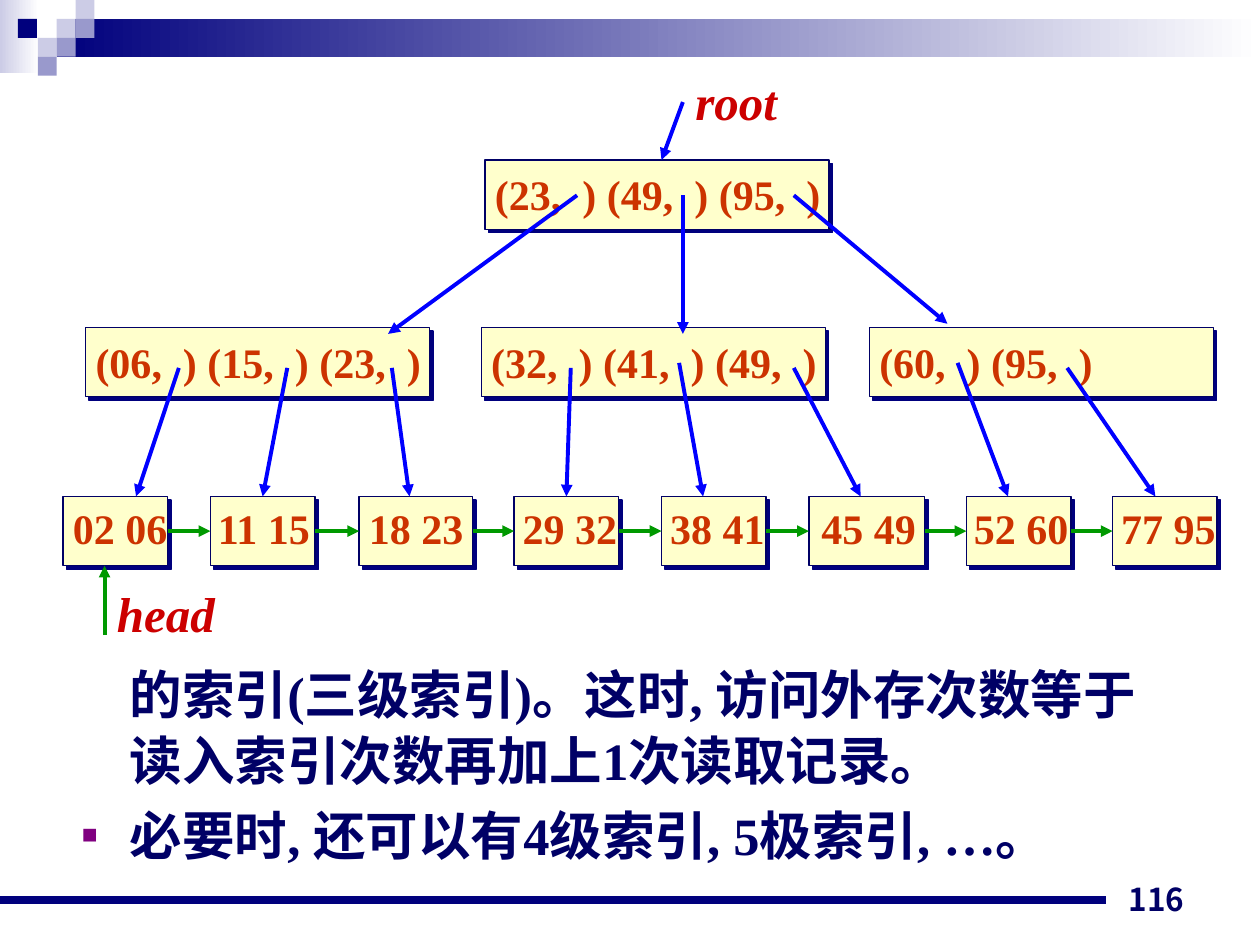
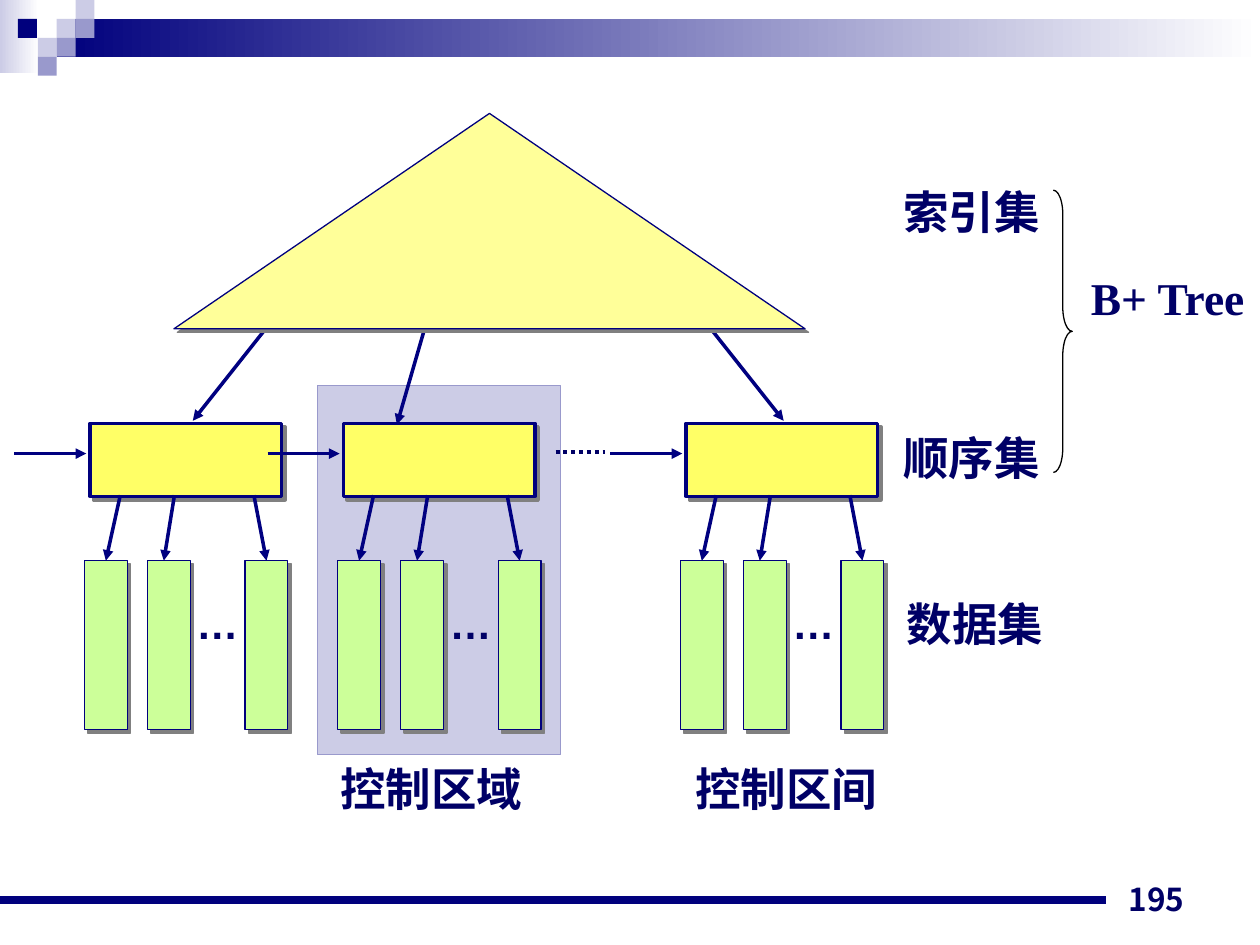
"""Build two slides on multilevel indexes and the B+ tree file structure."""
from dataclasses import dataclass
from typing import NamedTuple, Optional

from lxml import etree
from pptx import Presentation
from pptx.dml.color import RGBColor
from pptx.enum.dml import MSO_LINE
from pptx.enum.shapes import MSO_CONNECTOR, MSO_SHAPE
from pptx.enum.text import MSO_ANCHOR, MSO_AUTO_SIZE, PP_ALIGN
from pptx.oxml.ns import qn
from pptx.shapes.autoshape import Shape
from pptx.shapes.connector import Connector
from pptx.slide import Slide
from pptx.util import Inches, Pt

RECTANGLE = MSO_SHAPE.RECTANGLE
TRIANGLE = MSO_SHAPE.ISOSCELES_TRIANGLE
BRACE = MSO_SHAPE.RIGHT_BRACE
STRAIGHT = MSO_CONNECTOR.STRAIGHT
DOTTED = MSO_LINE.ROUND_DOT
LEFT, RIGHT, JUSTIFY = PP_ALIGN.LEFT, PP_ALIGN.RIGHT, PP_ALIGN.JUSTIFY
TOP, BOTTOM = MSO_ANCHOR.TOP, MSO_ANCHOR.BOTTOM
NO_AUTO_SIZE = MSO_AUTO_SIZE.NONE
SIDE_TOP, SIDE_LEFT, SIDE_RIGHT = 0, 1, 3

SLIDE_WIDTH, SLIDE_HEIGHT = Inches(10), Inches(7.5)
CELL = SLIDE_WIDTH // 100


class TextStyle(NamedTuple):
    """Font, size and colour of a piece of text."""
    name: str
    size: float
    color: str
    italic: bool = False


@dataclass(frozen=True)
class Theme:
    """Colours and type styles shared by the slides."""
    navy: str = "00007D"
    ink: str = "000066"
    arrow: str = "000080"
    pale: str = "CCCCE6"
    lilac: str = "9999CC"
    white: str = "FFFFFF"
    black: str = "000000"
    cream: str = "FFFFCC"
    pointer: str = "0000FF"
    chain: str = "009900"
    gray: str = "808080"
    bullet: str = "800080"
    triangle: str = "FFFF99"
    sequence: str = "FFFF66"
    data: str = "CCFF99"
    number: TextStyle = TextStyle("Noto Sans CJK JP", 18, "000066")
    body: TextStyle = TextStyle("Times New Roman", 30, "000066")
    key: TextStyle = TextStyle("Times New Roman", 24, "CC3300")
    tag: TextStyle = TextStyle("Times New Roman", 28, "CC0000", True)
    caption: TextStyle = TextStyle("Times New Roman", 26, "000066")
    dots: TextStyle = TextStyle("Arial", 24, "000066")


THEME = Theme()


class Box(NamedTuple):
    """Left, top, width and height in grid cells."""
    left: float
    top: float
    width: float
    height: float


class Point(NamedTuple):
    """Column and row in grid cells."""
    column: float
    row: float


class Stroke(NamedTuple):
    """Colour and width of a line."""
    color: str
    width: float


class KeyBox(NamedTuple):
    """A node of the index with its keys."""
    keys: str
    left: float
    width: float
    label_width: float
    label_shift: float = -0.2


class Pointer(NamedTuple):
    """An arrow from an index entry to a leaf; no end means the leaf's top middle."""
    start: Point
    end: Optional[float]


POINTER = Stroke(THEME.pointer, 2.25)
CHAIN = Stroke(THEME.chain, 2.25)
FLOW = Stroke(THEME.arrow, 2)
THIN_NAVY = Stroke(THEME.navy, 0.75)


def cells(values: tuple) -> list[int]:
    """Turn grid cells into slide lengths."""
    return [round(value * CELL) for value in values]


def rgb(color: str) -> RGBColor:
    """Read a hexadecimal colour."""
    return RGBColor.from_string(color)


def apply(target: object, formats: dict) -> None:
    """Set each format value on the target."""
    for name, value in formats.items():
        setattr(target, name, value)


def set_stroke(line: object, stroke: Stroke) -> None:
    """Colour a line and set its width."""
    line.color.rgb = rgb(stroke.color)
    line.width = Pt(stroke.width)


def add_box(slide: Slide, box: Box, fill: Optional[str], stroke: Optional[Stroke] = None,
            shadow: Optional[str] = None, kind: MSO_SHAPE = RECTANGLE) -> Shape:
    """Add a preset shape, with an offset shadow when a colour is given."""
    shape = slide.shapes.add_shape(kind, *cells(box))
    if fill:
        shape.fill.solid()
        shape.fill.fore_color.rgb = rgb(fill)
    else:
        shape.fill.background()
    if stroke:
        set_stroke(shape.line, stroke)
    else:
        shape.line.fill.background()
    shape.shadow.inherit = False
    if shadow:
        effects = shape._element.spPr.find(qn("a:effectLst"))
        outer = etree.SubElement(effects, qn("a:outerShdw"), dist=str(Pt(2.8)),
                                 dir="2700000", algn="ctr", rotWithShape="0")
        etree.SubElement(outer, qn("a:srgbClr"), val=shadow)
    return shape


def add_gradient(slide: Slide, box: Box, start: str) -> None:
    """Add a band that fades to white on the right."""
    fill = add_box(slide, box, start).fill
    fill.gradient()
    fill.gradient_angle = 0
    for stop, color in zip(fill.gradient_stops, (start, THEME.white)):
        stop.color.rgb = rgb(color)


def add_line(slide: Slide, start: Point, end: Point, stroke: Stroke, arrow: bool = True) -> Connector:
    """Add a straight line, with an arrowhead at its end by default."""
    connector = slide.shapes.add_connector(STRAIGHT, *cells(start), *cells(end))
    set_stroke(connector.line, stroke)
    if arrow:
        etree.SubElement(connector.line._get_or_add_ln(), qn("a:tailEnd"), type="triangle")
    etree.SubElement(connector._element.spPr, qn("a:effectLst"))
    return connector


def write(paragraph: object, text: str, style: TextStyle) -> None:
    """Add a run of bold text in the given style."""
    run = paragraph.add_run()
    run.text = text
    apply(run.font, {"name": style.name, "size": Pt(style.size), "bold": True, "italic": style.italic})
    run.font.color.rgb = rgb(style.color)


def add_text(slide: Slide, box: Box, text: str, style: TextStyle, align: PP_ALIGN = LEFT,
             wrap: bool = True, anchor: MSO_ANCHOR = TOP) -> None:
    """Add a text box holding one paragraph."""
    frame = slide.shapes.add_textbox(*cells(box)).text_frame
    apply(frame, {"word_wrap": wrap, "vertical_anchor": anchor})
    frame.paragraphs[0].alignment = align
    write(frame.paragraphs[0], text, style)


def add_frame(slide: Slide, number: str) -> None:
    """Draw the top band, its squares, the bottom rule and the page number."""
    add_gradient(slide, Box(0, 0, 3.1, 5.8), THEME.pale)
    add_gradient(slide, Box(4.5, 1.5, 95.5, 3), THEME.navy)
    squares = ((3, 1, THEME.pale), (4, 0, THEME.pale), (4, 1, THEME.lilac), (2, 2, THEME.pale),
               (0.95, 1, THEME.navy), (3, 2, THEME.lilac), (2, 3, THEME.lilac))
    for column, row, color in squares:
        add_box(slide, Box(column * 1.5, row * 1.5, 1.5, 1.5), color)
    add_line(slide, Point(0, 71.4), Point(87.8, 71.4), Stroke(THEME.navy, 4.5), arrow=False)
    add_text(slide, Box(71.7, 68.3, 23.3, 5), number, THEME.number, RIGHT, anchor=BOTTOM)


def add_key_box(slide: Slide, node: KeyBox, top: float, label_drop: float = 0.2) -> Shape:
    """Draw an index node and its keys."""
    shape = add_box(slide, Box(node.left, top, node.width, 5.5), THEME.cream,
                    Stroke(THEME.ink, 0.75), THEME.navy)
    label = Box(node.left + node.label_shift, top + label_drop, node.label_width, 5)
    add_text(slide, label, node.keys, THEME.key, wrap=False)
    return shape


def fill_body(slide: Slide) -> None:
    """Place the body placeholder and write its two paragraphs."""
    body = slide.placeholders[1]
    apply(body, dict(zip(("left", "top", "width", "height"), cells(Box(5.5, 50.8, 88.8, 23.3)))))
    frame = body.text_frame
    apply(frame, {"auto_size": NO_AUTO_SIZE, "margin_top": Inches(0.15), "vertical_anchor": TOP})
    texts = (
        ("的索引(三级索引)。这时, 访问外存次数等于读入索引次数再加上1次读取记录。", 1.05, 0, False),
        ("必要时, 还可以有4级索引, 5极索引, …。", 1.1, 3, True),
    )
    for index, (text, spacing, before, bulleted) in enumerate(texts):
        paragraph = frame.add_paragraph() if index else frame.paragraphs[0]
        properties = paragraph._p.get_or_add_pPr()
        properties.set("marL", str(Inches(0.38)))
        properties.set("indent", str(-Inches(0.38) if bulleted else 0))
        if bulleted:
            color = etree.SubElement(properties, qn("a:buClr"))
            etree.SubElement(color, qn("a:srgbClr"), val=THEME.bullet)
            etree.SubElement(properties, qn("a:buSzPct"), val="50000")
            etree.SubElement(properties, qn("a:buChar"), char="■")
        else:
            etree.SubElement(properties, qn("a:buNone"))
        apply(paragraph, {"line_spacing": spacing, "space_before": Pt(before), "alignment": LEFT})
        write(paragraph, text, THEME.body)


def build_index_slide(presentation: Presentation) -> None:
    """Build the slide with the three-level index."""
    slide = presentation.slides.add_slide(presentation.slide_layouts[1])
    title = slide.shapes.title._element
    title.getparent().remove(title)
    add_frame(slide, "116")
    fill_body(slide)

    add_key_box(slide, KeyBox("(23,  ) (49,  ) (95,  )", 38.5, 27.3, 27.8), 12.7)
    for node in (KeyBox("(06,  ) (15,  ) (23,  )", 6.8, 27.3, 27.8),
                 KeyBox("(32,  ) (41,  ) (49,  )", 38.2, 27.3, 27.8),
                 KeyBox("(60,  ) (95,  )", 69, 27.3, 19.8)):
        add_key_box(slide, node, 26)
    leaf_nodes = (KeyBox("02 06", 5, 8.3, 9.5), KeyBox("11 15", 16.7, 8.3, 9.5, -0.4),
                  KeyBox("18 23", 28.5, 9, 9.5), KeyBox("29 32", 40.8, 8.3, 9.5, -0.3),
                  KeyBox("38 41", 52.5, 8.3, 9.5, -0.3), KeyBox("45 49", 64.2, 9.2, 9.5, 0),
                  KeyBox("52 60", 76.7, 8.3, 9.5, -0.4), KeyBox("77 95", 88.3, 8.3, 9.5, -0.3))
    leaves = [add_key_box(slide, node, 39.4, 0) for node in leaf_nodes]
    for leaf, following in zip(leaves, leaves[1:]):
        link = add_line(slide, Point(0, 42.1), Point(1, 42.1), CHAIN)
        link.begin_connect(leaf, SIDE_RIGHT)
        link.end_connect(following, SIDE_LEFT)

    for start, end in ((Point(54.2, 8.1), Point(52.5, 12.7)), (Point(45.8, 15.5), Point(30.8, 26.5)),
                       (Point(54.2, 15.5), Point(54.2, 26.5)), (Point(63, 15.5), Point(75.2, 25.7))):
        add_line(slide, start, end, POINTER)
    pointers = (Pointer(Point(14.2, 29.2), 10.8), Pointer(Point(22.8, 29.2), None),
                Pointer(Point(31.1, 29.2), 32.5), Pointer(Point(45.3, 29.2), None),
                Pointer(Point(53.9, 28.8), 55.8), Pointer(Point(63, 29.2), 68.3),
                Pointer(Point(76, 28.8), 80), Pointer(Point(84.7, 29.2), 91.7))
    for pointer, leaf in zip(pointers, leaves):
        line = add_line(slide, pointer.start, Point(pointer.end or 0, 39.4), POINTER)
        if pointer.end is None:
            line.end_connect(leaf, SIDE_TOP)
    add_line(slide, Point(8.3, 50.4), Point(8.3, 44.9), CHAIN)
    add_text(slide, Box(54.2, 5.2, 8.5, 5.7), "root", THEME.tag, wrap=False)
    add_text(slide, Box(8.3, 45.8, 9.8, 5.7), "head", THEME.tag, wrap=False)


def add_control_interval(slide: Slide, left: float) -> None:
    """Draw a sequence-set node with its data blocks and arrows."""
    blocks = [add_box(slide, Box(left + shift, 44.5, 3.4, 13.4), THEME.data, THIN_NAVY, THEME.gray)
              for shift in (0, 5, 12.75)]
    add_text(slide, Box(left + 7.9, 46.9, 7, 9.1), "…", THEME.dots, JUSTIFY)
    add_box(slide, Box(left + 0.45, 33.6, 15.2, 5.8), THEME.sequence, Stroke(THEME.navy, 2), THEME.gray)
    for shift, end, block in zip((2.85, 7.15, 13.45), (1.7, 6.3, 14.45), blocks):
        line = add_line(slide, Point(left + shift, 39.3), Point(left + end, 44.5), FLOW)
        if block is not blocks[1]:
            line.end_connect(block, SIDE_TOP)
    add_line(slide, Point(left - 5.55, 36), Point(left + 0.15, 36), FLOW)


def build_tree_slide(presentation: Presentation) -> None:
    """Build the slide with the B+ tree file structure."""
    slide = presentation.slides.add_slide(presentation.slide_layouts[6])
    add_frame(slide, "195")
    add_box(slide, Box(25.2, 30.6, 19.3, 29.3), THEME.pale, Stroke(THEME.lilac, 0.75))
    for left in (54, 6.7, 26.8):
        add_control_interval(slide, left)
    for start, end in ((Point(21.4, 25.7), Point(15.3, 33.4)), (Point(56.1, 25.7), Point(62.2, 33.4)),
                       (Point(33.9, 25.4), Point(31.5, 33.7))):
        add_line(slide, start, end, FLOW)
    dotted = add_line(slide, Point(44.1, 35.9), Point(48, 35.9), Stroke(THEME.ink, 2.25), arrow=False)
    dotted.line.dash_style = DOTTED
    for text, box in (("索引集", Box(70.7, 14.1, 14.4, 8.8)), ("顺序集", Box(70.7, 33.6, 14.4, 8.8)),
                      ("数据集", Box(71, 46.8, 14.4, 8.8)), ("B+ Tree", Box(85.6, 20.9, 14.4, 8.8)),
                      ("控制区域", Box(26, 59.9, 17.1, 6.3)), ("控制区间", Box(54.2, 59.9, 17.1, 8.8))):
        add_text(slide, box, text, THEME.caption, JUSTIFY)
    brace = add_box(slide, Box(83.6, 15.1, 1.5, 22.4), None, Stroke(THEME.black, 0.75), kind=BRACE)
    brace.adjustments[0] = 1.28
    add_box(slide, Box(13.8, 9, 50.1, 17.1), THEME.triangle, THIN_NAVY, THEME.gray, TRIANGLE)


def main() -> None:
    """Build the presentation and save it."""
    presentation = Presentation()
    apply(presentation, {"slide_width": SLIDE_WIDTH, "slide_height": SLIDE_HEIGHT})
    build_index_slide(presentation)
    build_tree_slide(presentation)
    presentation.save("out.pptx")


if __name__ == "__main__":
    main()
